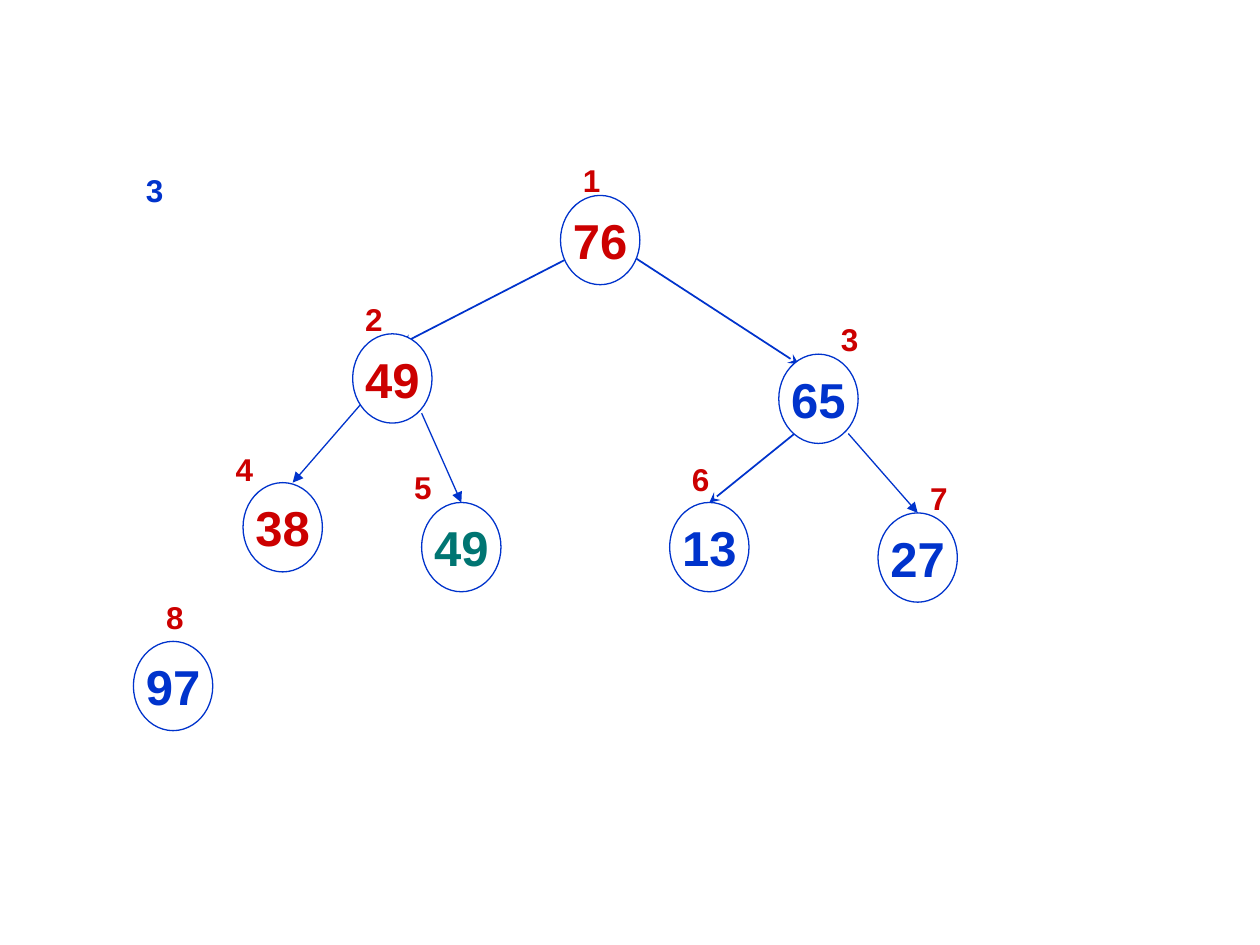
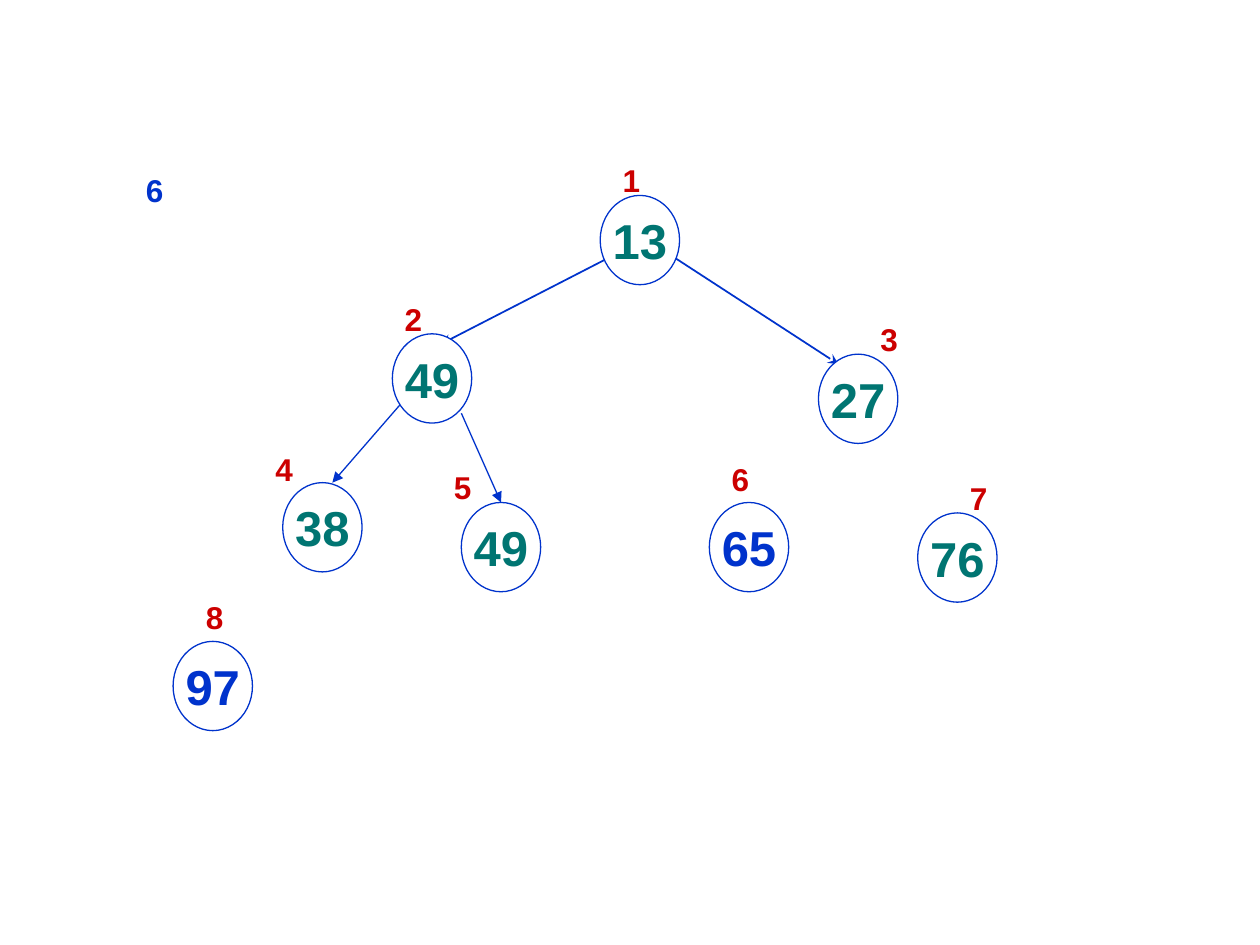
from lxml import etree
from pptx import Presentation
from pptx.dml.color import RGBColor
from pptx.enum.shapes import MSO_CONNECTOR, MSO_SHAPE
from pptx.enum.text import MSO_ANCHOR, PP_ALIGN
from pptx.oxml.ns import qn
from pptx.util import Cm, Pt

BLUE = RGBColor(0x00, 0x33, 0xCC)
RED = RGBColor(0xCC, 0x00, 0x00)
GREEN = RGBColor(0x00, 0x75, 0x72)
WHITE = RGBColor(0xFF, 0xFF, 0xFF)

SMALL = {"name": "Arial", "size": Pt(18), "bold": True}
LARGE = {**SMALL, "size": Pt(28)}
NODE_W, NODE_H = 1.6, 1.8
SHIFT = 0.8

NODES = {
    1: (11.3, 3.94), 2: (7.11, 6.73), 3: (15.7, 7.14), 4: (4.9, 9.73),
    5: (8.5, 10.13), 6: (13.5, 10.13), 7: (17.7, 10.34), 8: (2.69, 12.93),
}
LABELS = {
    1: (11.5, 3.12), 2: (7.11, 5.92), 3: (16.7, 6.32), 4: (4.5, 8.94),
    5: (8.1, 9.32), 6: (13.7, 9.14), 7: (18.5, 9.53), 8: (3.1, 11.94),
}
LINKS = {
    2: (11.6, 5.13, 8.1, 6.93, "stealth", 1),
    3: (12.7, 5.13, 16.1, 7.34, "stealth", 1),
    4: (7.29, 8.13, 5.9, 9.73, "triangle", 0.75),
    5: (8.5, 8.33, 9.3, 10.13, "triangle", 0.75),
    6: (16.02, 8.74, 14.3, 10.13, "stealth", 1),
    7: (17.1, 8.74, 18.5, 10.34, "triangle", 0.75),
}
TOP_ENDS = (5, 6, 7)

STEPS = [
    ("3", 0, range(2, 8),
     [("76", RED), ("49", RED), ("65", BLUE), ("38", RED),
      ("49", GREEN), ("13", BLUE), ("27", BLUE), ("97", BLUE)]),
    ("6", SHIFT, range(2, 6),
     [("13", GREEN), ("49", GREEN), ("27", GREEN), ("38", GREEN),
      ("49", GREEN), ("65", BLUE), ("76", GREEN), ("97", BLUE)]),
]


def write(frame, text, style, hue):
    para = frame.paragraphs[0]
    run = para.add_run()
    run.text = text
    for key, value in style.items():
        setattr(run.font, key, value)
    run.font.color.rgb = hue
    return para


def add_label(slide, x, y, text, hue, width=0.86):
    box = slide.shapes.add_textbox(Cm(x), Cm(y), Cm(width), Cm(1.02))
    box.text_frame.word_wrap = True
    write(box.text_frame, text, SMALL, hue)


def add_node(slide, x, y, text, hue):
    node = slide.shapes.add_shape(
        MSO_SHAPE.OVAL, Cm(x), Cm(y), Cm(NODE_W), Cm(NODE_H))
    node.shadow.inherit = False
    node.fill.solid()
    node.fill.fore_color.rgb = WHITE
    node.line.color.rgb = BLUE
    node.line.width = Pt(0.75)
    frame = node.text_frame
    frame.word_wrap = False
    frame.vertical_anchor = MSO_ANCHOR.MIDDLE
    write(frame, text, LARGE, hue).alignment = PP_ALIGN.CENTER
    return node


def add_link(slide, x1, y1, x2, y2, head, width):
    link = slide.shapes.add_connector(
        MSO_CONNECTOR.STRAIGHT, Cm(x1), Cm(y1), Cm(x2), Cm(y2))
    link.line.color.rgb = BLUE
    link.line.width = Pt(width)
    etree.SubElement(link.line._get_or_add_ln(), qn("a:tailEnd"), type=head)
    etree.SubElement(link._element.spPr, qn("a:effectLst"))
    return link


def add_heap(slide, shift, kids, values):
    links = {}
    for kid in kids:
        x1, y1, x2, y2, head, width = LINKS[kid]
        links[kid] = add_link(
            slide, x1 + shift, y1, x2 + shift, y2, head, width)
    for index, (x, y) in LABELS.items():
        add_label(slide, x + shift, y, str(index), RED)
    for (index, (x, y)), (text, hue) in zip(NODES.items(), values):
        node = add_node(slide, x + shift, y, text, hue)
        if index in links and index in TOP_ENDS:
            links[index].end_connect(node, 0)


def main():
    deck = Presentation()
    deck.slide_width, deck.slide_height = Cm(25.4), Cm(19.05)
    for step, shift, kids, values in STEPS:
        slide = deck.slides.add_slide(deck.slide_layouts[6])
        add_heap(slide, shift, kids, values)
        add_label(slide, 2.69, 3.33, step, BLUE, 3.8)
    deck.save("out.pptx")


if __name__ == "__main__":
    main()
